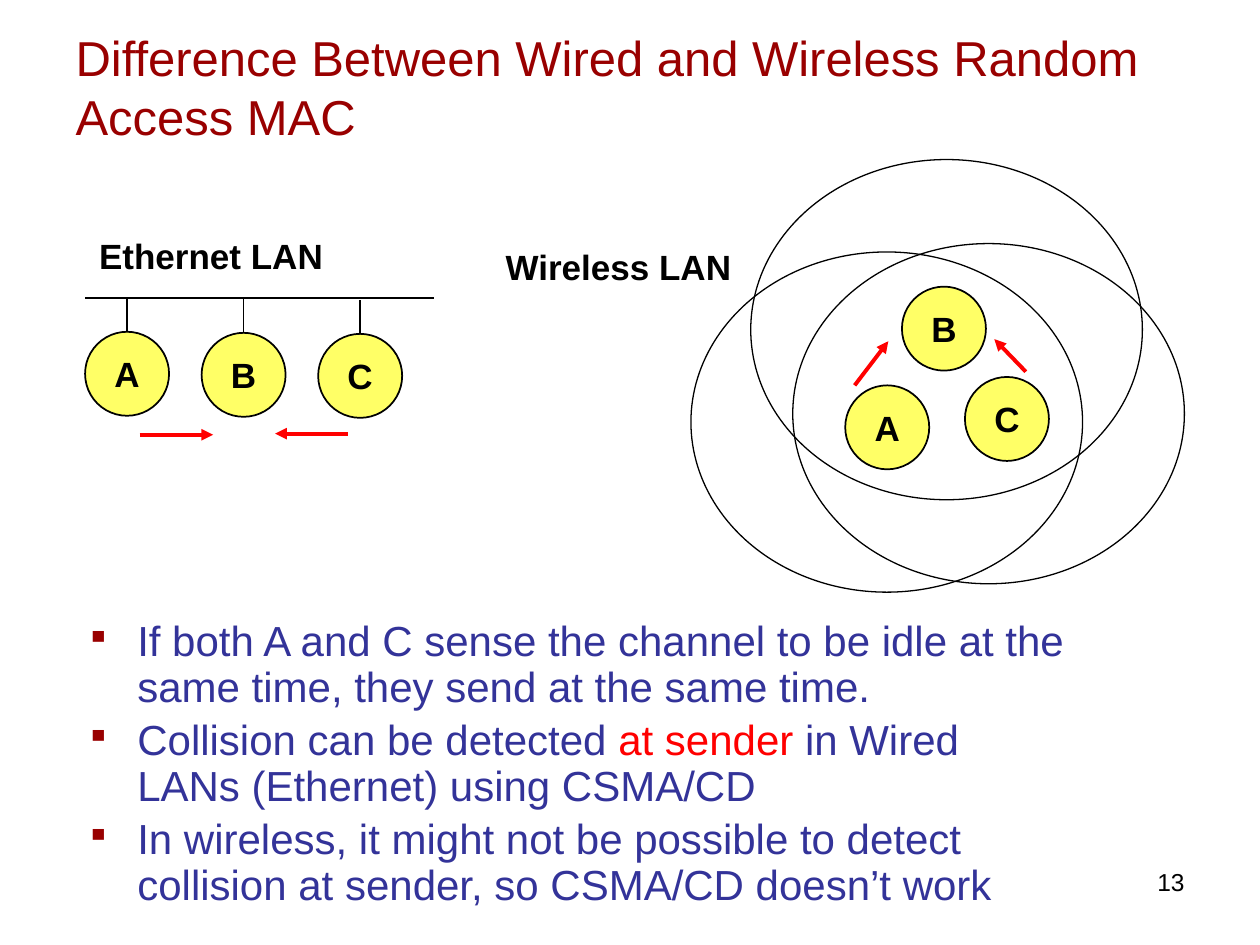
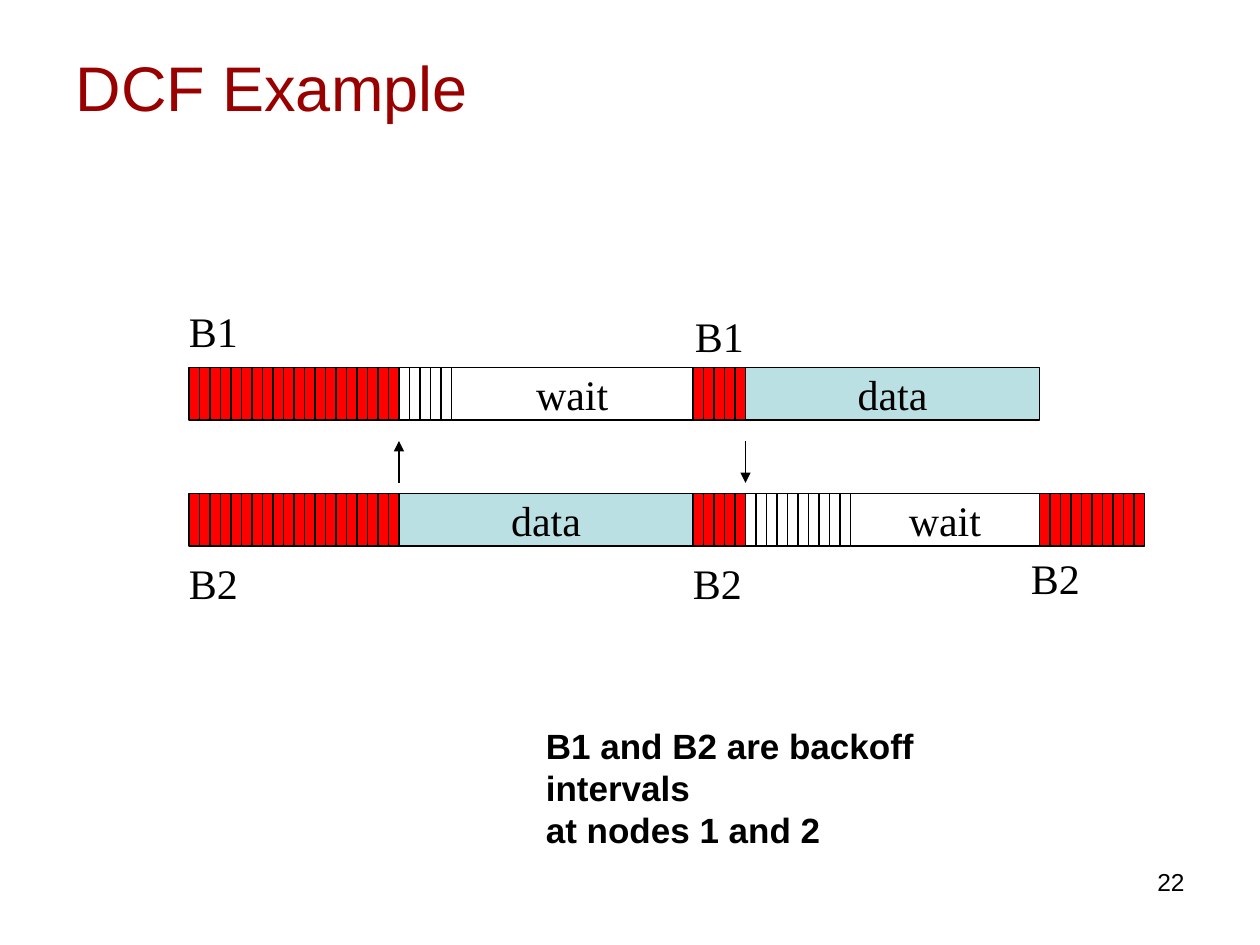
"""Build two slides on random access MAC: wired versus wireless, and a DCF backoff example."""
from dataclasses import dataclass

from lxml import etree
from pptx import Presentation
from pptx.dml.color import RGBColor
from pptx.enum.shapes import MSO_CONNECTOR, MSO_SHAPE
from pptx.enum.text import MSO_ANCHOR, MSO_AUTO_SIZE, PP_ALIGN
from pptx.oxml.ns import qn
from pptx.util import Pt

PX = 7620
STRAIGHT = MSO_CONNECTOR.STRAIGHT
OVAL, RECT = MSO_SHAPE.OVAL, MSO_SHAPE.RECTANGLE
TOP, MIDDLE = MSO_ANCHOR.TOP, MSO_ANCHOR.MIDDLE
LEFT, CENTER, RIGHT = PP_ALIGN.LEFT, PP_ALIGN.CENTER, PP_ALIGN.RIGHT


@dataclass(frozen=True)
class Theme:
    title: str = "990000"
    body: str = "333399"
    ink: str = "000000"
    red: str = "FF0000"
    node: str = "FFFF66"
    data: str = "BBE0E3"
    sans: str = "Arial"
    serif: str = "Times New Roman"
    body_size: int = 24
    label_size: int = 20
    number_size: int = 14
    hairline: float = 0.75


T = Theme()


def add_box(s, kind, at, text="", size=T.label_size, font=T.sans, bold=False,
            align=CENTER, anchor=MIDDLE, wrap=False, fill=None, line=T.hairline):
    x, y, w, h = (v * PX for v in at)
    if kind is None:
        sp = s.shapes.add_textbox(x, y, w, h)
    else:
        sp = s.shapes.add_shape(kind, x, y, w, h)
        sp.shadow.inherit = False
        sp.line.color.rgb = RGBColor.from_string(T.ink)
        sp.line.width = Pt(line)
        if fill:
            sp.fill.solid()
            sp.fill.fore_color.rgb = RGBColor.from_string(fill)
        else:
            sp.fill.background()
    if text:
        tf = sp.text_frame
        tf.text = text
        tf.word_wrap = wrap
        tf.vertical_anchor = anchor
        for p in tf.paragraphs:
            p.alignment = align
            p.font.name, p.font.size, p.font.bold = font, Pt(size), bold
            p.font.color.rgb = RGBColor.from_string(T.ink)
    return sp


def add_line(s, start, end, color=T.ink, width=T.hairline, arrow=False):
    c = s.shapes.add_connector(STRAIGHT, *(v * PX for v in (*start, *end)))
    c.line.color.rgb = RGBColor.from_string(color)
    c.line.width = Pt(width)
    if arrow:
        etree.SubElement(c.line._get_or_add_ln(), qn("a:tailEnd"), type="triangle")
    etree.SubElement(c._element.spPr, qn("a:effectLst"))
    return c


prs = Presentation()
prs.slide_width, prs.slide_height = 1200 * PX, 900 * PX

slides = []
for title, size, number in [
    ("Difference Between Wired and Wireless Random Access MAC", 28, "13"),
    ("DCF Example", 36, "22"),
]:
    s = prs.slides.add_slide(prs.slide_layouts[5])
    sp = s.shapes.title
    sp.left, sp.top, sp.width, sp.height = 60 * PX, 20 * PX, 1080 * PX, 124 * PX
    tf = sp.text_frame
    tf.text = title
    tf.auto_size = MSO_AUTO_SIZE.NONE
    tf.vertical_anchor = MIDDLE
    p = tf.paragraphs[0]
    p.alignment = LEFT
    p.font.name, p.font.size = T.sans, Pt(size)
    p.font.color.rgb = RGBColor.from_string(T.title)
    add_box(s, None, (860, 820, 280, 62), number, T.number_size,
            align=RIGHT, anchor=TOP, wrap=True)
    slides.append(s)
wired_wireless, dcf = slides

s = wired_wireless
bullets = [
    [("If both A and C sense the channel to be idle at the same time, "
      "they send at the same time.", T.body)],
    [("Collision can be detected ", T.body), ("at sender", T.red),
     (" in Wired LANs (Ethernet) using CSMA/CD", T.body)],
    [("In wireless, it might not be possible to detect collision at sender, "
      "so CSMA/CD doesn’t work", T.body)],
]
HANG = 49
tf = s.shapes.add_textbox(70 * PX, 585 * PX, 962 * PX, 294 * PX).text_frame
tf.word_wrap = True
for i, runs in enumerate(bullets):
    p = tf.add_paragraph() if i else tf.paragraphs[0]
    p.line_spacing, p.space_before = 0.9, Pt(4.8)
    p.font.name, p.font.size = T.sans, Pt(T.body_size)
    for text, color in runs:
        r = p.add_run()
        r.text = text
        r.font.color.rgb = RGBColor.from_string(color)
    pPr = p._p.get_or_add_pPr()
    pPr.set("marL", str(HANG * PX))
    pPr.set("indent", str(-HANG * PX))
    bullet_color = etree.Element(qn("a:buClr"))
    etree.SubElement(bullet_color, qn("a:srgbClr"), val=T.title)
    bullet_size = etree.Element(qn("a:buSzPct"), val="80000")
    bullet_char = etree.Element(qn("a:buChar"), char="▪")
    at = list(pPr).index(pPr.find(qn("a:defRPr")))
    pPr[at:at] = [bullet_color, bullet_size, bullet_char]

NODE = 80
add_line(s, (81, 284), (413, 284), width=1.5)
for i, name in enumerate("ABC"):
    x, y = 81 + 111 * i, 316 + i
    node = add_box(s, OVAL, (x, y, NODE, NODE), name, bold=True, fill=T.node, line=1)
    stub = add_line(s, (x + NODE // 2, y - 32), (x + NODE // 2, y))
    stub.end_connect(node, 0)

for name, x, y in [("A", 805, 367), ("B", 859, 273), ("C", 919, 359)]:
    add_box(s, OVAL, (x, y, NODE, NODE), name, bold=True, fill=T.node, line=1)
for x, y in [(658, 240), (755, 232), (715, 152)]:
    add_box(s, OVAL, (x, y, 373, 324))

for text, x, y in [("Ethernet LAN", 71, 217), ("Wireless LAN", 459, 228)]:
    add_box(s, None, (x, y, 260, 52), text, bold=True, anchor=TOP)
for start, end in [
    ((133, 414), (203, 414)), ((331, 413), (262, 413)),
    ((814, 367), (846, 325)), ((977, 354), (947, 323)),
]:
    add_line(s, start, end, T.red, 2.25, arrow=True)

s = dcf
SLOT, BAR = 10, 50
backoff, frozen = T.red, None
timelines = [
    (350, [(20, backoff, ""), (5, frozen, ""), (23, None, "wait"),
           (5, backoff, ""), (28, T.data, "data")]),
    (470, [(20, backoff, ""), (28, T.data, "data"), (5, backoff, ""),
           (10, frozen, ""), (18, None, "wait"), (10, backoff, "")]),
]
for y, spans in timelines:
    x = 180
    for slots, fill, text in spans:
        count, width = (1, slots * SLOT) if text else (slots, SLOT)
        for i in range(count):
            add_box(s, RECT, (x + i * width, y, width, BAR), text,
                    T.body_size, T.serif, fill=fill)
        x += slots * SLOT

for text, x, y in [("B1", 168, 285), ("B1", 650, 290), ("B2", 168, 525),
                   ("B2", 648, 525), ("B2", 970, 520)]:
    add_box(s, None, (x, y, 80, 60), text, T.body_size, T.serif,
            align=LEFT, anchor=TOP, wrap=True)
for x, start, end in [(380, 460, 420), (710, 420, 460)]:
    add_line(s, (x, start), (x, end), arrow=True)
add_box(s, None, (508, 704, 510, 92), "B1 and B2 are backoff intervals\nat nodes 1 and 2",
        bold=True, align=LEFT, wrap=True)

prs.save("out.pptx")
